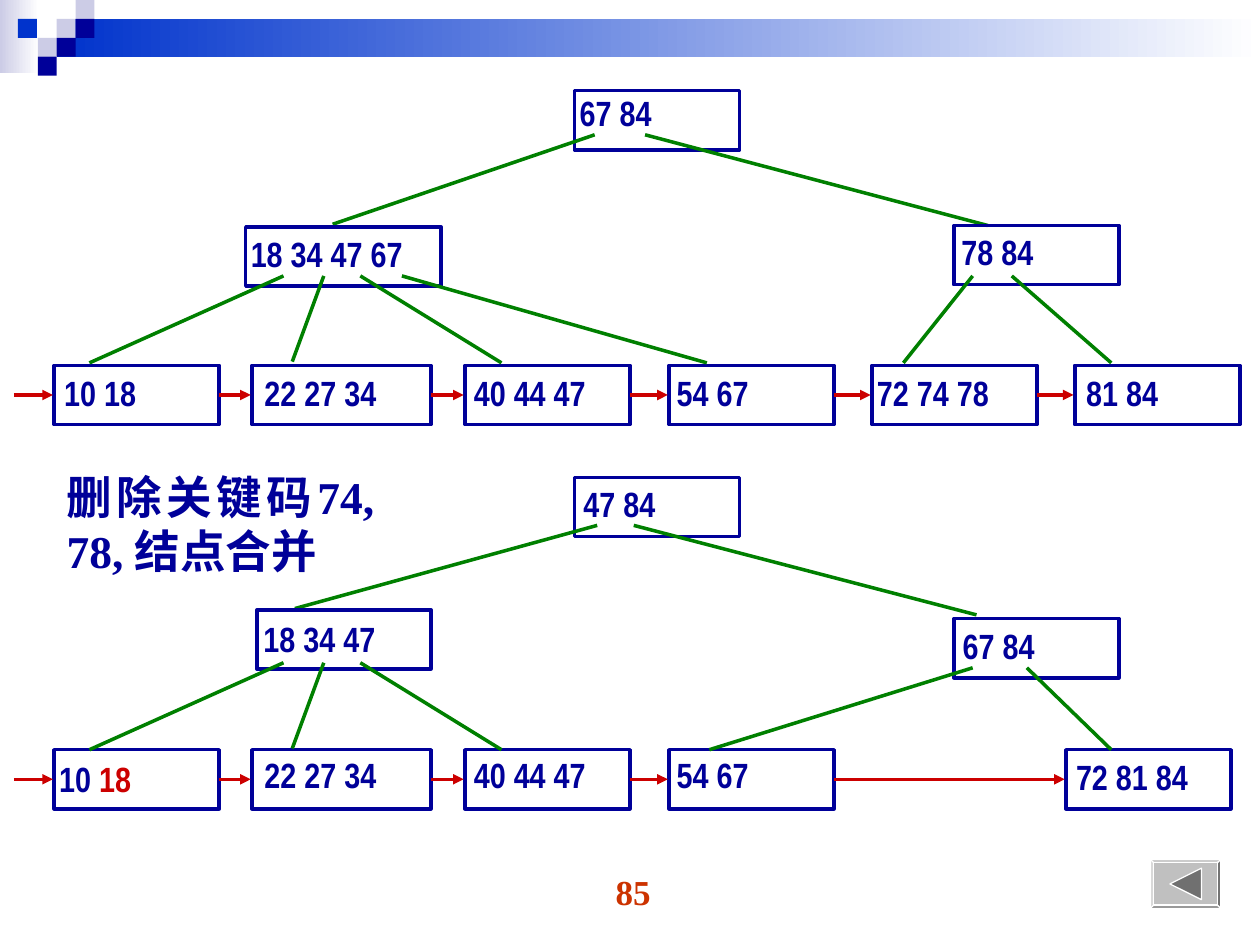
from dataclasses import dataclass

import pptx
import pptx.dml.color
import pptx.enum.shapes
import pptx.enum.text
import pptx.oxml
import pptx.oxml.ns
import pptx.util
from pptx.util import Inches

SHAPE = pptx.enum.shapes.MSO_SHAPE
ALIGN = pptx.enum.text.PP_ALIGN


@dataclass(frozen=True)
class Theme:
    """Colours, fonts and sizes of the slide."""
    navy: str = "000099"
    blue: str = "0033CC"
    lilac: str = "CCCCE6"
    white: str = "FFFFFF"
    green: str = "008000"
    red: str = "CC0000"
    orange: str = "CC3300"
    silver: str = "C0C0C0"
    grey: str = "707070"
    serif: str = "Times New Roman"
    narrow: str = "Arial Narrow"
    key_size: int = 20
    caption_size: int = 26
    line_width: float = 2


@dataclass(frozen=True)
class Node:
    """A tree node; links hold start x, end x and end y within the tree box."""
    keys: str
    left: float
    top: float
    indent: float
    lift: float = 0.05
    width: float = 1.31
    drop: float = 0.39
    links: tuple = ()
    marked: str = ""


THEME = Theme()
NODE_HEIGHT = 0.47

TREE_BEFORE = dict(
    inner=[
        Node("67 84", 4.56, 0, 0.04, 0.01, drop=0.35,
             links=((4.72, 2.64, 1.06), (5.12, 7.84, 1.07))),
        Node("18 34 47 67", 1.95, 1.08, 0.04, width=1.55,
             links=((2.25, 0.71, 2.16), (2.57, 2.32, 2.15), (2.86, 3.98, 2.16), (3.19, 5.61, 2.16))),
        Node("78 84", 7.57, 1.07, 0.06, 0.04, drop=0.4,
             links=((7.72, 7.17, 2.16), (8.03, 8.82, 2.16))),
    ],
    leaves=[
        Node("10 18", 0.43, 2.18, 0.08),
        Node("22 27 34", 2, 2.18, 0.1, width=1.42),
        Node("40 44 47", 3.69, 2.18, 0.07),
        Node("54 67", 5.31, 2.18, 0.06),
        Node("72 74 78", 6.92, 2.18, 0.04),
        Node("81 84", 8.53, 2.18, 0.09),
    ],
)

TREE_AFTER = dict(
    inner=[
        Node("47 84", 4.56, 0, 0.07, 0.04, drop=0.38,
             links=((4.74, 2.34, 1.04), (5.03, 7.75, 1.09))),
        Node("18 34 47", 2.04, 1.05, 0.05, 0.06, width=1.38, drop=0.42,
             links=((2.25, 0.71, 2.16), (2.57, 2.32, 2.15), (2.86, 3.98, 2.16))),
        Node("67 84", 7.57, 1.12, 0.07,
             links=((7.72, 5.63, 2.16), (8.15, 8.82, 2.16))),
    ],
    leaves=[
        Node("10 ", 0.43, 2.16, 0.04, 0.06, marked="18"),
        Node("22 27 34", 2, 2.16, 0.1, 0.03, width=1.42),
        Node("40 44 47", 3.69, 2.16, 0.07, 0.03),
        Node("54 67", 5.31, 2.16, 0.06, 0.03),
        Node("72 81 84", 8.46, 2.16, 0.08),
    ],
)


def rgb(value):
    """Turn a hex string into a colour."""
    return pptx.dml.color.RGBColor.from_string(value)


def add_box(page, kind, left, top, width, height, fill=None, line=None, weight=THEME.line_width):
    """Add a preset shape with a plain fill and outline."""
    box = page.shapes.add_shape(kind, Inches(left), Inches(top), Inches(width), Inches(height))
    box.shadow.inherit = False
    if fill:
        box.fill.solid()
        box.fill.fore_color.rgb = rgb(fill)
    else:
        box.fill.background()
    if line:
        box.line.color.rgb = rgb(line)
        box.line.width = pptx.util.Pt(weight)
    else:
        box.line.fill.background()
    return box


def set_text(box, text, font, size, color, align):
    """Write one bold paragraph, anchored to the top of its box."""
    frame = box.text_frame
    frame.word_wrap = True
    frame.vertical_anchor = pptx.enum.text.MSO_ANCHOR.TOP
    para = frame.paragraphs[0]
    para.alignment = align
    para.add_run().text = text
    para.font.name, para.font.size, para.font.bold = font, pptx.util.Pt(size), True
    para.font.color.rgb = rgb(color)
    return para


def add_line(page, start, end, color, arrow=False):
    """Add a straight line between two points, with an arrowhead on request."""
    line = page.shapes.add_connector(
        pptx.enum.shapes.MSO_CONNECTOR.STRAIGHT, *(Inches(value) for value in (*start, *end)))
    line.line.color.rgb = rgb(color)
    line.line.width = pptx.util.Pt(THEME.line_width)
    if arrow:
        tail = pptx.oxml.parse_xml(f'<a:tailEnd {pptx.oxml.ns.nsdecls("a")} type="triangle"/>')
        line.line._get_or_add_ln().append(tail)
    line._element.spPr.append(pptx.oxml.parse_xml(f'<a:effectLst {pptx.oxml.ns.nsdecls("a")}/>'))


def add_gradient(page, left, top, width, height, color):
    """Add a band that fades to white from left to right."""
    band = add_box(page, SHAPE.RECTANGLE, left, top, width, height)
    band.fill.gradient()
    band.fill.gradient_angle = 0
    for stop, position, shade in zip(band.fill.gradient_stops, (0, 1), (color, THEME.white)):
        stop.position = position
        stop.color.rgb = rgb(shade)


def add_header(page, left, top, width):
    """Draw the fading bands and the checkered corner."""
    cell = 0.15
    add_gradient(page, left, top, 0.31, 0.58, THEME.lilac)
    add_gradient(page, left + 3 * cell, top + cell, width - 3 * cell, 2 * cell, THEME.blue)
    squares = ((3, 1, THEME.lilac), (4, 0, THEME.lilac), (4, 1, THEME.navy), (2, 2, THEME.lilac),
               (0.95, 1, THEME.blue), (3, 2, THEME.navy), (2, 3, THEME.navy))
    for column, row, color in squares:
        add_box(page, SHAPE.RECTANGLE, left + column * cell, top + row * cell, cell, cell, color)


def add_node(page, left, top, node):
    """Draw a node with its keys and the links to its children."""
    box = add_box(page, SHAPE.RECTANGLE, left + node.left, top + node.top,
                  node.width, NODE_HEIGHT, line=THEME.navy)
    frame = box.text_frame
    frame.margin_left, frame.margin_top = Inches(node.indent), Inches(node.lift)
    frame.margin_right = frame.margin_bottom = 0
    para = set_text(box, node.keys, THEME.narrow, THEME.key_size, THEME.navy, ALIGN.LEFT)
    if node.marked:
        span = para.add_run()
        span.text = node.marked
        span.font.color.rgb = rgb(THEME.red)
    for start, end, depth in node.links:
        add_line(page, (left + start, top + node.top + node.drop), (left + end, top + depth), THEME.green)


def add_tree(page, left, top, inner, leaves):
    """Draw a B+ tree whose leaves are chained by arrows."""
    for node in leaves + inner:
        add_node(page, left, top, node)
    starts = [0.11] + [leaf.left + leaf.width for leaf in leaves[:-1]]
    for start, leaf in zip(starts, leaves):
        level = top + leaf.top + NODE_HEIGHT / 2
        add_line(page, (left + start, level), (left + leaf.left - 0.01, level), THEME.red, arrow=True)


def add_label(page, left, top, width, height, text, size, color, align):
    """Add a serif text box."""
    box = page.shapes.add_textbox(Inches(left), Inches(top), Inches(width), Inches(height))
    set_text(box, text, THEME.serif, size, color, align)


def add_back_button(page, left, top, width, height):
    """Draw a bevelled button with a triangle pointing left."""
    button = add_box(page, SHAPE.BEVEL, left, top, width, height, THEME.silver, THEME.white, 0.75)
    button.adjustments[0] = 0.07
    side = 0.25
    arrow = add_box(page, SHAPE.ISOSCELES_TRIANGLE, left + (width - side) / 2, top + (height - side) / 2,
                    side, side, THEME.grey, THEME.white, 0.75)
    arrow.rotation = 270


def main():
    """Build the slide and save it."""
    deck = pptx.Presentation()
    deck.slide_width, deck.slide_height = Inches(10), Inches(7.5)
    page = deck.slides.add_slide(deck.slide_layouts[6])
    add_header(page, 0, 0, 10)
    add_label(page, 3.86, 6.86, 2.33, 0.52, "85", THEME.key_size, THEME.orange, ALIGN.CENTER)
    add_label(page, 0.43, 3.67, 2.64, 1.28, "删除关键码74, 78, 结点合并",
              THEME.caption_size, THEME.navy, ALIGN.JUSTIFY)
    add_tree(page, 0, 0.72, **TREE_BEFORE)
    add_tree(page, 0, 3.79, **TREE_AFTER)
    add_back_button(page, 9.13, 6.82, 0.56, 0.39)
    deck.save("out.pptx")


if __name__ == "__main__":
    main()
